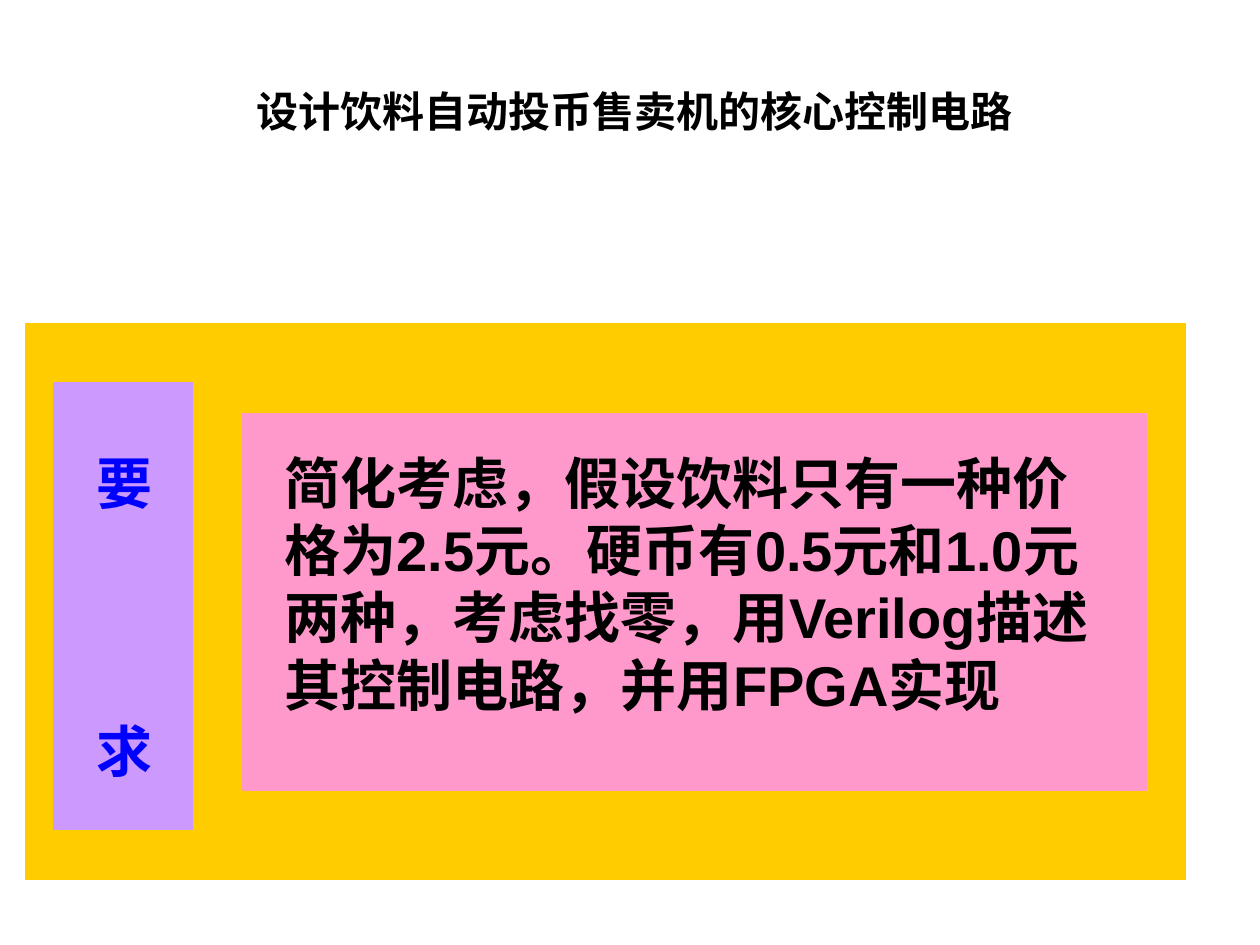
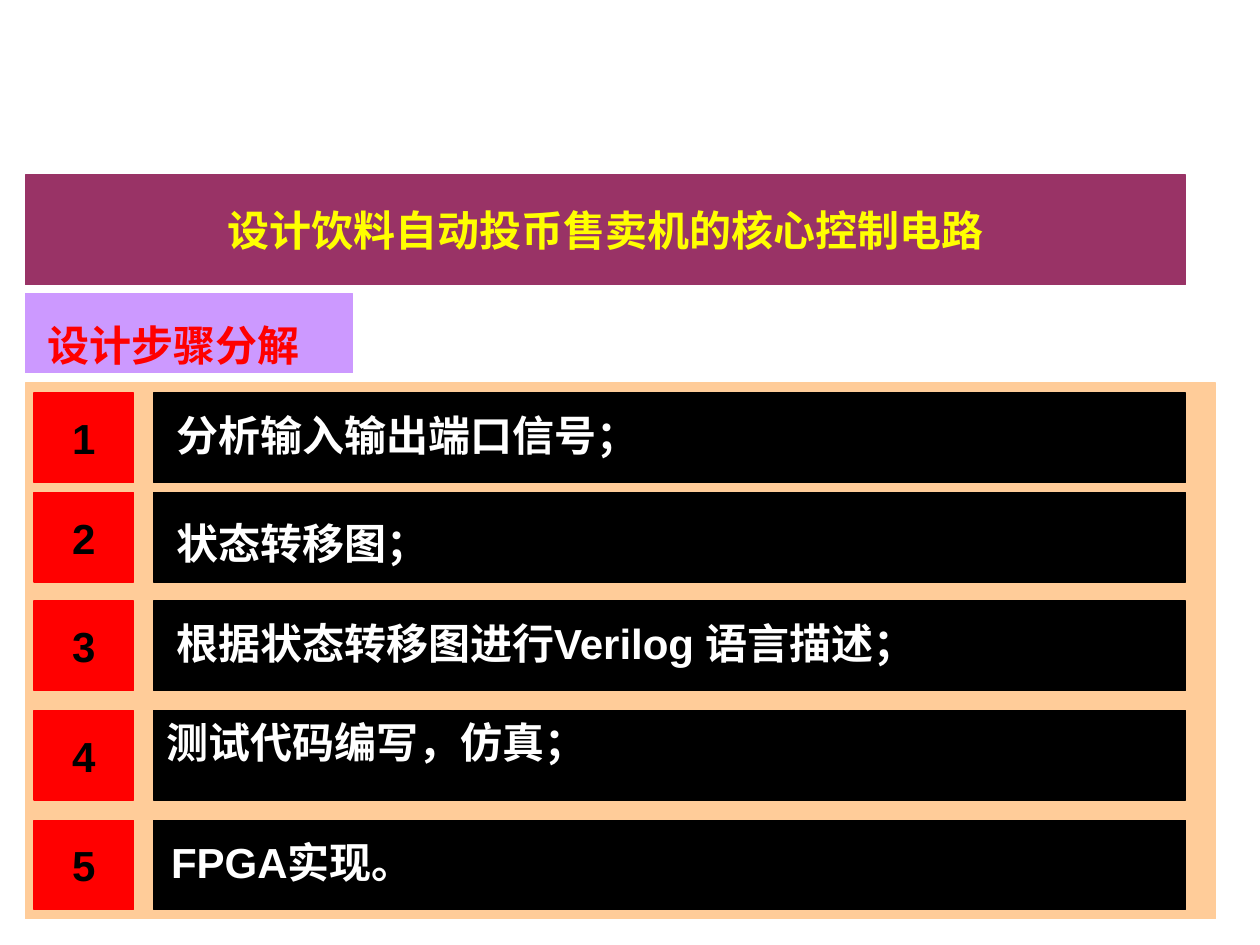
from collections import namedtuple

from pptx import Presentation
from pptx.dml.color import RGBColor
from pptx.enum.shapes import MSO_SHAPE
from pptx.enum.text import MSO_ANCHOR, PP_ALIGN
from pptx.util import Inches, Pt

RECTANGLE = MSO_SHAPE.RECTANGLE
MIDDLE, TOP = MSO_ANCHOR.MIDDLE, MSO_ANCHOR.TOP
CENTER, LEFT = PP_ALIGN.CENTER, PP_ALIGN.LEFT

FONT = "Arial"
BLANK_LAYOUT = 6
COLORS = {
    "white": "FFFFFF", "black": "000000", "red": "FF0000", "blue": "0000FF",
    "yellow": "FFFF00", "gold": "FFCC00", "pink": "FF99CC", "lilac": "CC99FF",
    "plum": "993366", "peach": "FFCC99",
}
TITLE = "设计饮料自动投币售卖机的核心控制电路"
REQUIREMENT = ("简化考虑，假设饮料只有一种价格为2.5元。硬币有0.5元和1.0元两种，"
               "考虑找零，用Verilog描述其控制电路，并用FPGA实现")

Box = namedtuple("Box", "left top width height")
Step = namedtuple("Step", "top text indent drop width wrap")

STEPS = [
    Step(0.08, "分析输入输出端口信号；", 0.08, 0.08, 5, True),
    Step(0.87, "状态转移图；", 0.08, 0.15, 5, True),
    Step(1.73, "根据状态转移图进行Verilog 语言描述；", 0.08, 0.08, 6.46, True),
    Step(2.6, "测试代码编写，仿真；", 0, 0, 5, True),
    Step(3.47, "FPGA实现。", 0.04, 0.08, 2.2, False),
]


def color(name):
    """Return the named colour."""
    return RGBColor.from_string(COLORS[name])


def inside(box, left, top, width, height):
    """Return a box placed relative to the corner of another."""
    return Box(box.left + left, box.top + top, width, height)


def write(frame, lines, ink, size=24, align=LEFT, anchor=TOP, wrap=False, gap=0):
    """Write bold lines into a text frame."""
    frame.word_wrap = wrap
    frame.vertical_anchor = anchor
    for index, line in enumerate(lines):
        para = frame.paragraphs[0] if index == 0 else frame.add_paragraph()
        para.alignment = align
        para.space_before = Pt(gap if index else 0)
        span = para.add_run()
        span.text = line
        span.font.name = FONT
        span.font.size = Pt(size)
        span.font.bold = True
        span.font.color.rgb = color(ink)


def add_panel(page, box, fill, label=None, ink="black"):
    """Add a flat rectangle, with a centred label if one is given."""
    panel = page.shapes.add_shape(RECTANGLE, *map(Inches, box))
    panel.shadow.inherit = False
    panel.fill.solid()
    panel.fill.fore_color.rgb = color(fill)
    panel.line.color.rgb = color(fill)
    panel.line.width = Pt(0.75)
    if label:
        write(panel.text_frame, [label], ink, align=CENTER, anchor=MIDDLE)


def add_text(page, box, lines, ink, **style):
    """Add a text box."""
    text_box = page.shapes.add_textbox(*map(Inches, box))
    write(text_box.text_frame, lines, ink, **style)


def add_title(page, left, top, fill, ink):
    """Add the title band."""
    add_panel(page, Box(left, top, 9.21, 0.87), fill, TITLE, ink)


def add_requirement(page, box):
    """Add the requirement panel with its side label."""
    add_panel(page, box, "gold")
    add_panel(page, inside(box, 1.73, 0.71, 7.17, 2.99), "pink")
    add_panel(page, inside(box, 0.23, 0.47, 1.1, 3.54), "lilac")
    add_text(page, inside(box, 1.96, 0.94, 6.61, 2.77), [REQUIREMENT], "black",
             size=32, wrap=True)
    add_text(page, inside(box, 0.47, 0.94, 0.64, 2.77), ["要", "求"], "blue",
             size=32, gap=115)


def add_heading(page, box):
    """Add the heading above the steps."""
    add_panel(page, box, "lilac")
    add_text(page, inside(box, 0.08, 0.16, 2.2, 0.5), ["设计步骤分解"], "red")


def add_steps(page, box):
    """Add the numbered design steps on their panel."""
    add_panel(page, box, "peach")
    for number, step in enumerate(STEPS, 1):
        bar = inside(box, 1.02, step.top, 8.19, 0.71)
        add_panel(page, bar, "black")
        add_panel(page, inside(box, 0.07, step.top, 0.79, 0.71), "red", str(number))
        add_text(page, inside(bar, step.indent, step.drop, step.width, 0.5),
                 [step.text], "white", wrap=step.wrap)


def build_requirement_page(page):
    """Build the page that states the task."""
    add_requirement(page, Box(0.2, 2.57, 9.21, 4.41))
    add_title(page, 0.43, 0.44, "white", "black")


def build_steps_page(page):
    """Build the page that lists the design steps."""
    add_steps(page, Box(0.2, 3.04, 9.45, 4.25))
    add_heading(page, Box(0.2, 2.33, 2.6, 0.63))
    add_title(page, 0.2, 1.39, "plum", "yellow")


def main():
    """Build and save the deck."""
    deck = Presentation()
    deck.slide_width, deck.slide_height = Inches(10), Inches(7.5)
    for build in (build_requirement_page, build_steps_page):
        build(deck.slides.add_slide(deck.slide_layouts[BLANK_LAYOUT]))
    deck.save("out.pptx")


if __name__ == "__main__":
    main()
